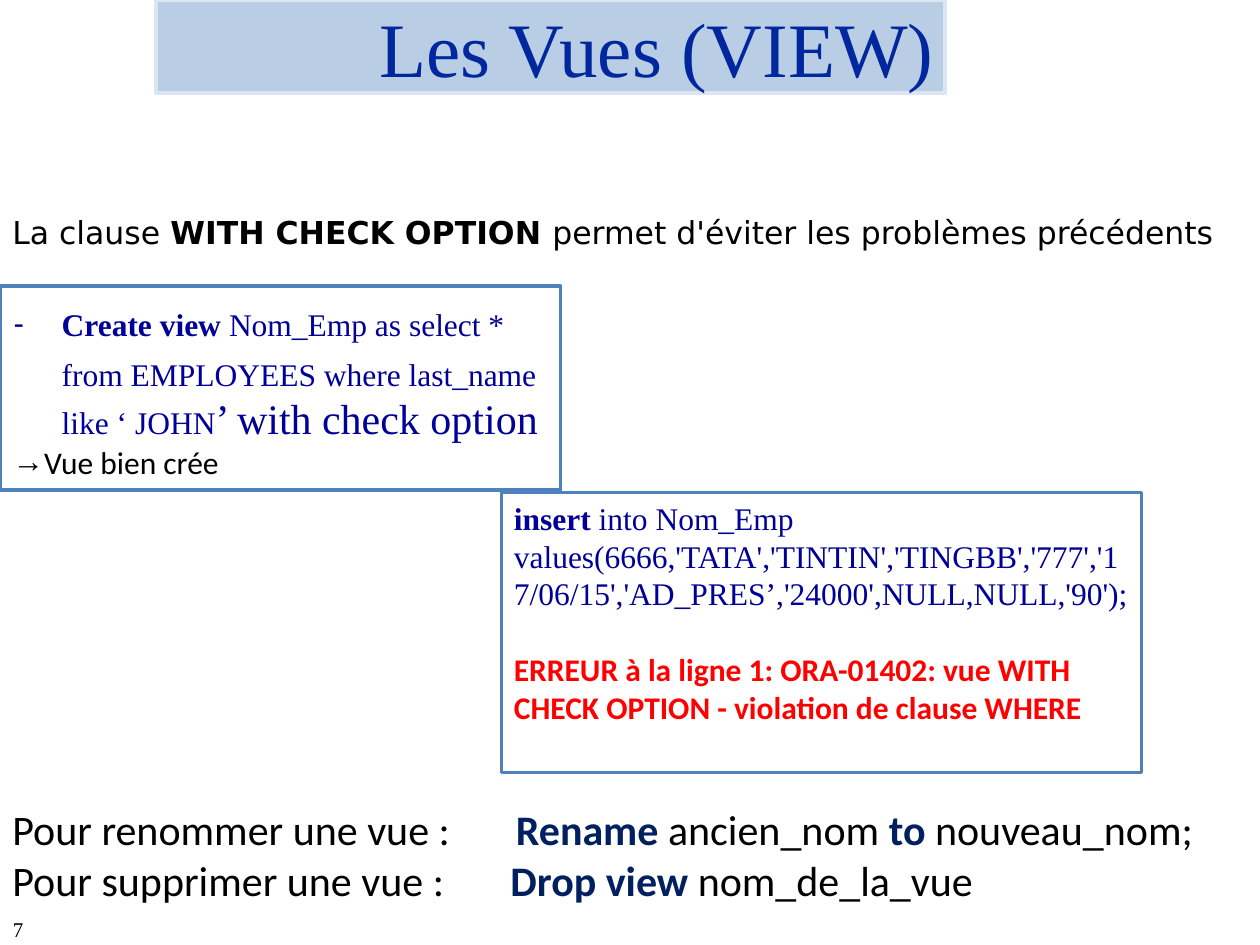
from lxml.etree import SubElement
from pptx import Presentation
from pptx.dml.color import RGBColor
from pptx.enum.shapes import MSO_SHAPE
from pptx.enum.text import MSO_ANCHOR, MSO_AUTO_SIZE, PP_ALIGN
from pptx.oxml import parse_xml
from pptx.oxml.ns import nsdecls, qn
from pptx.util import Cm, Pt

BLACK = RGBColor(0x00, 0x00, 0x00)
WHITE = RGBColor(0xFF, 0xFF, 0xFF)
RED = RGBColor(0xFF, 0x00, 0x00)
CODE = RGBColor(0x00, 0x00, 0x98)
NAVY = RGBColor(0x00, 0x20, 0x60)
TITLE = RGBColor(0x00, 0x27, 0x9E)
EDGE = RGBColor(0x4F, 0x81, 0xBD)
BAND = RGBColor(0xB9, 0xCD, 0xE5)
RIM = RGBColor(0xDC, 0xE6, 0xF2)
SERIF, SANS, WIDE = "Times New Roman", "Calibri", "DejaVu Sans"


def place(shape, left, top, width, height):
    """Move and size a shape, in centimetres."""
    shape.left, shape.top = Cm(left), Cm(top)
    shape.width, shape.height = Cm(width), Cm(height)


def paint(shape, fill, line):
    """Give a shape its fill and outline."""
    shape.fill.solid()
    shape.fill.fore_color.rgb = fill
    shape.line.color.rgb = line
    shape.line.width = Pt(2)


def setup(frame, inset=None):
    """Wrap the text from the top, with an optional even inset."""
    frame.word_wrap = True
    frame.auto_size = MSO_AUTO_SIZE.NONE
    frame.vertical_anchor = MSO_ANCHOR.TOP
    if inset is not None:
        frame.margin_left = frame.margin_right = Cm(inset)
        frame.margin_top = frame.margin_bottom = Cm(inset)


def write(para, parts, face, size, color, before=0):
    """Fill a paragraph from (text, changes) pairs."""
    para.alignment = PP_ALIGN.LEFT
    para.space_before = Pt(before)
    for text, change in parts:
        run = para.add_run()
        run.text = text
        font = run.font
        font.name = face
        font.size = Pt(change.get("size", size))
        font.bold = change.get("bold", False)
        font.color.rgb = change.get("color", color)


def indent(para, left, first=0):
    """Set the left margin and first-line indent."""
    props = para._p.get_or_add_pPr()
    props.set("marL", str(Cm(left)))
    props.set("indent", str(Cm(first)))
    return props


def bullet(para, sign, color, left=0, first=0):
    """Give a paragraph a coloured bullet sign."""
    props = indent(para, left, first)
    tint = SubElement(props, qn("a:buClr"))
    SubElement(tint, qn("a:srgbClr")).set("val", str(color))
    SubElement(props, qn("a:buChar")).set("char", sign)


def tab(para, pos):
    """Add a left tab stop."""
    stops = SubElement(para._p.get_or_add_pPr(), qn("a:tabLst"))
    stop = SubElement(stops, qn("a:tab"))
    stop.set("pos", str(Cm(pos)))
    stop.set("algn", "l")


def label(slide, box, inset=None):
    """Add a plain text box and return its frame."""
    frame = slide.shapes.add_textbox(*map(Cm, box)).text_frame
    setup(frame, inset)
    return frame


def add_title(slide):
    """Fill the title band."""
    shape = slide.shapes.title
    place(shape, 3.15, 0, 15.9, 1.88)
    paint(shape, BAND, RIM)
    frame = shape.text_frame
    setup(frame, 0)
    frame.vertical_anchor = MSO_ANCHOR.MIDDLE
    para = frame.paragraphs[0]
    write(para, [("Les Vues (VIEW)", {})], SERIF, 44, TITLE)
    indent(para, 4.5)
    stroke = parse_xml(
        f'<a:ln {nsdecls("a")} w="9525"><a:solidFill>'
        '<a:srgbClr val="595959"/></a:solidFill></a:ln>')
    para.runs[0].font._element.insert(0, stroke)


def add_view(slide):
    """Fill the list that creates the view."""
    shape = slide.placeholders[1]
    place(shape, 0, 5.77, 11.3, 4.11)
    paint(shape, WHITE, EDGE)
    frame = shape.text_frame
    setup(frame)
    para = frame.paragraphs[0]
    write(para, [
        ("Create view ", {"bold": True}),
        ("Nom_Emp as select * from EMPLOYEES where last_name like ‘ JOHN", {}),
        ("’ with check option", {"size": 24}),
    ], SERIF, 18, CODE)
    para.line_spacing = Pt(28.7)
    bullet(para, "-", CODE, 0.99, -0.97)
    para = frame.add_paragraph()
    write(para, [("Vue bien crée", {})], SANS, 18, BLACK)
    bullet(para, "→", BLACK)


def add_insert(slide):
    """Add the box with the insert and its error."""
    box = map(Cm, (10.11, 9.93, 12.9, 5.64))
    shape = slide.shapes.add_shape(MSO_SHAPE.RECTANGLE, *box)
    shape.shadow.inherit = False
    paint(shape, WHITE, EDGE)
    frame = shape.text_frame
    setup(frame)
    write(frame.paragraphs[0], [
        ("insert ", {"bold": True}),
        ("into Nom_Emp values(6666,'TATA','TINTIN','TINGBB','777',"
         "'17/06/15','AD_PRES’,'24000',NULL,NULL,'90');", {}),
    ], SERIF, 18, CODE)
    write(frame.add_paragraph(), [
        ("ERREUR à la ligne 1: ORA-01402: vue WITH CHECK OPTION"
         " - violation de clause WHERE", {"bold": True}),
    ], SANS, 18, RED, 21.5)


def add_notes(slide):
    """Add the clause, the closing commands and the page number."""
    frame = label(slide, (0, 4.17, 25.4, 1.02))
    write(frame.paragraphs[0], [
        ("La clause ", {}),
        ("WITH CHECK OPTION ", {"bold": True}),
        ("permet d'éviter les problèmes précédents", {}),
    ], WIDE, 18, BLACK)

    key = {"bold": True, "color": NAVY}
    frame = label(slide, (0, 16.08, 24.61, 2.31))
    first, last = frame.paragraphs[0], frame.add_paragraph()
    write(first, [
        ("Pour renommer une vue :\t", {}), ("Rename ", key),
        ("ancien_nom ", {}), ("to ", key), ("nouveau_nom;", {}),
    ], SANS, 24, BLACK)
    write(last, [
        ("Pour supprimer une vue :\t", {}), ("Drop view ", key),
        ("nom_de_la_vue", {}),
    ], SANS, 24, BLACK)
    tab(first, 10.15)
    tab(last, 10.04)

    para = label(slide, (0.18, 18.47, 0.56, 0.48), 0).paragraphs[0]
    write(para, [("7", {})], SERIF, 12, BLACK)
    indent(para, 0.08)


def main():
    """Build the slide and save it."""
    deck = Presentation()
    deck.slide_width, deck.slide_height = Cm(25.4), Cm(19.05)
    slide = deck.slides.add_slide(deck.slide_layouts[1])
    add_title(slide)
    add_view(slide)
    add_insert(slide)
    add_notes(slide)
    deck.save("out.pptx")


if __name__ == "__main__":
    main()
